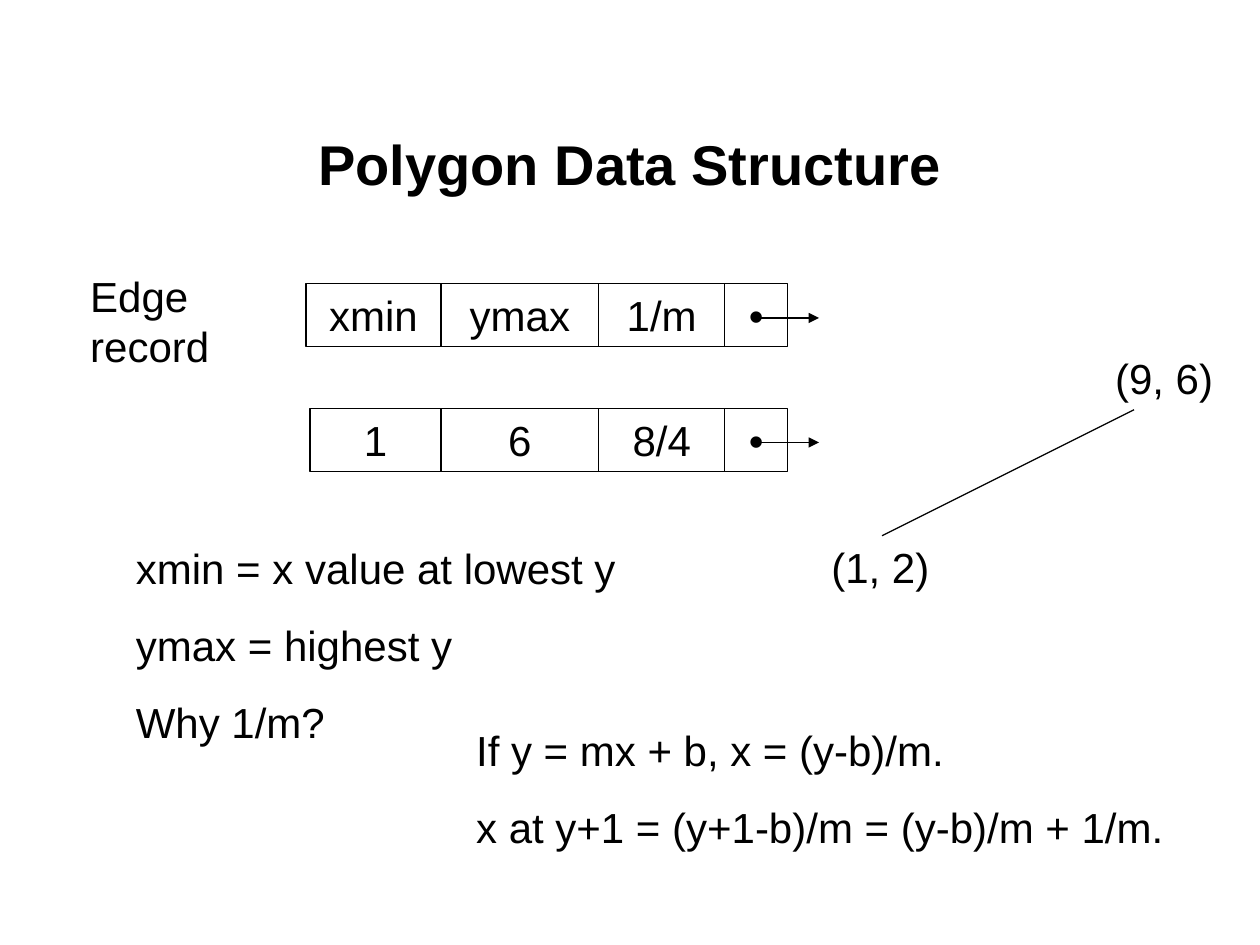
from itertools import pairwise

from lxml import etree
from pptx import Presentation
from pptx import util as u
from pptx.dml.color import RGBColor
from pptx.enum import shapes, text
from pptx.oxml.ns import qn

BLACK = RGBColor(0, 0, 0)
WHITE = RGBColor(255, 255, 255)


class Deck:
    """Style and current slide; all lengths are in centimetres."""

    font, size, title_size = "Arial", 24, 32
    line_width, para_gap = 0.75, 15

    def __init__(self, prs):
        self.s = prs.slides.add_slide(prs.slide_layouts[5])
        self.s.background.fill.solid()
        self.s.background.fill.fore_color.rgb = WHITE

    def set_text(self, tf, lines, align, size=None, bold=False):
        tf.word_wrap = True
        tf.text = "\n".join(lines)
        for i, p in enumerate(tf.paragraphs):
            p.alignment = align
            p.space_before = u.Pt(self.para_gap if i else 0)
            for r in p.runs:
                r.font.name, r.font.bold = self.font, bold
                r.font.size = u.Pt(size or self.size)
                r.font.color.rgb = BLACK

    def title(self, wording, *box):
        sp = self.s.shapes.title
        sp.left, sp.top, sp.width, sp.height = map(u.Cm, box)
        sp.text_frame.vertical_anchor = text.MSO_ANCHOR.MIDDLE
        self.set_text(sp.text_frame, [wording], text.PP_ALIGN.CENTER,
                      self.title_size, bold=True)

    def label(self, lines, *box):
        sp = self.s.shapes.add_textbox(*map(u.Cm, box))
        self.set_text(sp.text_frame, lines, text.PP_ALIGN.LEFT)

    def cell(self, wording, *box):
        sp = self.s.shapes.add_shape(shapes.MSO_SHAPE.RECTANGLE, *map(u.Cm, box))
        sp.shadow.inherit = False
        sp.fill.background()
        sp.line.color.rgb = BLACK
        sp.line.width = u.Pt(self.line_width)
        sp.text_frame.vertical_anchor = text.MSO_ANCHOR.TOP
        self.set_text(sp.text_frame, [wording], text.PP_ALIGN.CENTER)

    def line(self, *ends, arrow=False):
        c = self.s.shapes.add_connector(shapes.MSO_CONNECTOR.STRAIGHT, *map(u.Cm, ends))
        c.line.color.rgb = BLACK
        c.line.width = u.Pt(self.line_width)
        props = c.element.spPr
        if arrow:
            etree.SubElement(props.find(qn("a:ln")), qn("a:tailEnd"), type="triangle")
        etree.SubElement(props, qn("a:effectLst"))

    def record(self, values, left, top):
        """A row of fields ending in a pointer to the next record."""
        edges = [left, 8.89, 12.07, 14.61, 15.88]
        for value, (x1, x2) in zip([*values, "•"], pairwise(edges)):
            self.cell(value, x1, top, x2 - x1, 1.27)
        self.line(15.24, top + 0.69, 16.51, top + 0.69, arrow=True)


def main():
    prs = Presentation()
    prs.slide_width, prs.slide_height = u.Cm(25.4), u.Cm(19.05)
    deck = Deck(prs)
    deck.title("Polygon Data Structure", 1.9, 1.7, 21.6, 3.18)

    # Edge records: field names, then an example
    deck.label(["Edge record"], 1.57, 5.33, 3.91, 2.29)
    deck.record(["xmin", "ymax", "1/m"], 6.17, 5.72)
    deck.record(["1", "6", "8/4"], 6.25, 8.23)

    # Example edge with its end points
    deck.line(17.78, 10.8, 22.86, 8.26)
    deck.label(["(1, 2)"], 16.51, 10.8, 2.54, 1.27)
    deck.label(["(9, 6)"], 22.23, 6.99, 2.54, 1.27)

    # Explanations
    deck.label(["xmin = x value at lowest y", "ymax = highest y", "Why 1/m?"],
               2.49, 10.82, 11.71, 4.37)
    deck.label(["If y = mx + b, x = (y-b)/m.",
                "x at y+1 = (y+1-b)/m = (y-b)/m + 1/m."],
               9.35, 14.48, 14.53, 2.82)

    prs.save("out.pptx")


if __name__ == "__main__":
    main()
